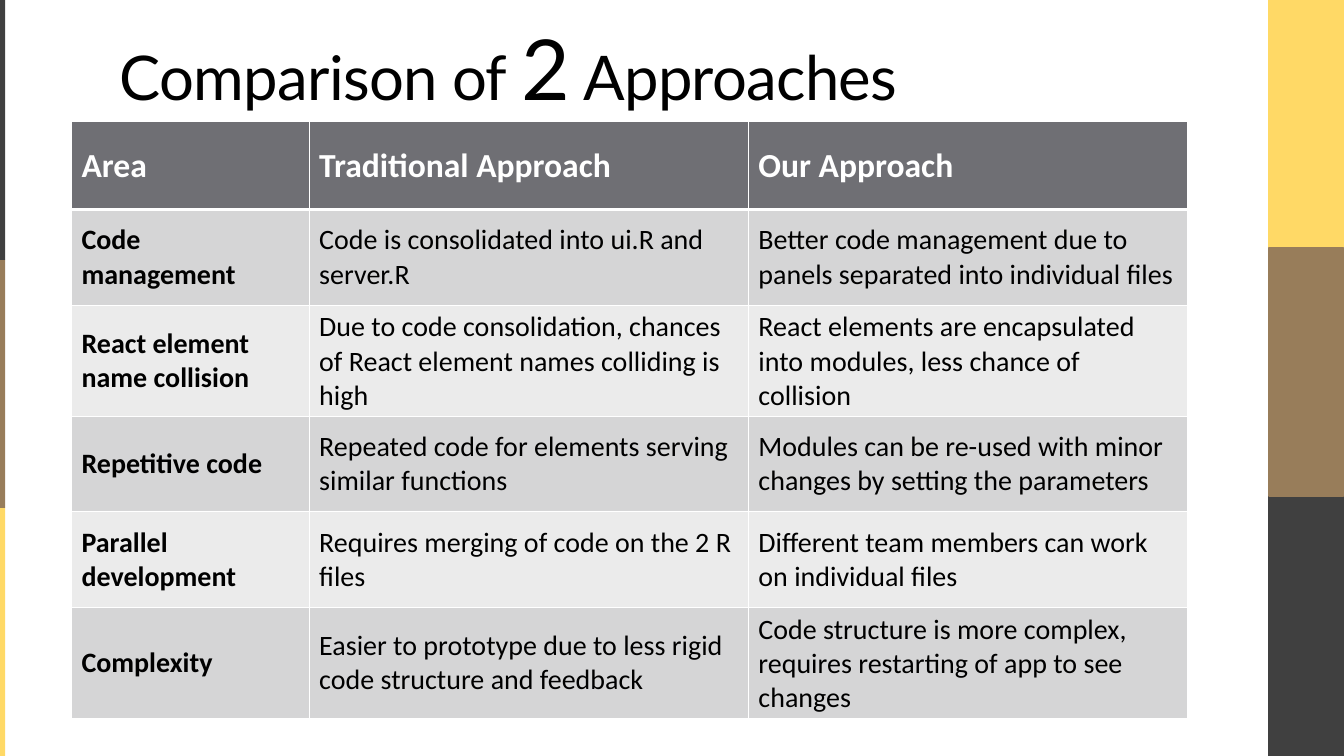
from lxml import etree
from pptx import Presentation
from pptx.dml.color import RGBColor
from pptx.enum import shapes, text
from pptx.oxml.ns import qn
from pptx.util import Cm, Pt

COLORS = {
    "dark": "404040", "yellow": "FFD966", "brown": "987D5A",
    "header": "6F6F74", "odd": "D5D5D6", "even": "EBEBEB",
    "white": "FFFFFF", "black": "000000",
}
SLIDE_W, SLIDE_H = 33.87, 19.05
COL_WIDTHS = [5.99, 11.07, 11.07]
HEADER_H, ROW_H = 2.21, 2.41
ROWS = [
    ("Area", "Traditional Approach", "Our Approach"),
    ("Code management",
     "Code is consolidated into ui.R and server.R",
     "Better code management due to panels separated into individual files"),
    ("React element name collision",
     "Due to code consolidation, chances of React element names colliding is high",
     "React elements are encapsulated into modules, less chance of collision"),
    ("Repetitive code",
     "Repeated code for elements serving similar functions",
     "Modules can be re-used with minor changes by setting the parameters"),
    ("Parallel development",
     "Requires merging of code on the 2 R files",
     "Different team members can work on individual files"),
    ("Complexity",
     "Easier to prototype due to less rigid code structure and feedback",
     "Code structure is more complex, requires restarting of app to see changes"),
]


def rgb(name):
    return RGBColor.from_string(COLORS[name])


def add_run(p, content, size=20, font="Calibri", color="black", bold=False, spacing=None):
    r = p.add_run()
    r.text = content
    r.font.size = Pt(size)
    r.font.name = font
    r.font.bold = bold
    r.font.color.rgb = rgb(color)
    if spacing is not None:
        r._r.get_or_add_rPr().set("spc", str(round(spacing * 100)))


def add_band(slide, left, top, width, height, color, outlined=False):
    sp = slide.shapes.add_shape(shapes.MSO_SHAPE.RECTANGLE,
                                Cm(left), Cm(top), Cm(width), Cm(height))
    sp.shadow.inherit = False
    sp.fill.solid()
    sp.fill.fore_color.rgb = rgb(color)
    if outlined:
        sp.line.color.rgb = rgb(color)
        sp.line.width = Pt(1.1)
    else:
        sp.line.fill.background()


def add_side_bands(slide):
    third = 6.25
    add_band(slide, 31.98, 0, 1.88, SLIDE_H, "dark", outlined=True)
    for i, color in enumerate(("yellow", "brown")):
        add_band(slide, 31.98, i * third, 1.88, third, color, outlined=True)
    first = SLIDE_H - 2 * third
    add_band(slide, 0, first + third, 0.13, third, "yellow")
    add_band(slide, 0, first, 0.13, third, "brown")
    add_band(slide, 0, 0, 0.13, first, "dark")


def add_title(slide):
    sp = slide.shapes.add_textbox(Cm(2.77), Cm(0.56), Cm(25.65), Cm(2.51))
    tf = sp.text_frame
    tf.word_wrap = True
    tf.vertical_anchor = text.MSO_ANCHOR.BOTTOM
    p = tf.paragraphs[0]
    p.line_spacing = 0.8
    for content, size in (("Comparison of ", 44), ("2", 60), (" Approaches", 44)):
        add_run(p, content, size=size, font="Lato", spacing=-0.5)


def set_borders(cell, top=1, bottom=1):
    tc_pr = cell._tc.get_or_add_tcPr()
    for side, width in (("L", 1), ("R", 1), ("T", top), ("B", bottom)):
        ln = etree.SubElement(tc_pr, qn(f"a:ln{side}"), w=str(Pt(width)))
        fill = etree.SubElement(ln, qn("a:solidFill"))
        etree.SubElement(fill, qn("a:srgbClr"), val=COLORS["white"])


def fill_cell(cell, content, fill, **fmt):
    cell.fill.solid()
    cell.fill.fore_color.rgb = rgb(fill)
    cell.vertical_anchor = text.MSO_ANCHOR.MIDDLE
    add_run(cell.text_frame.paragraphs[0], content, **fmt)


def add_comparison_table(slide):
    height = HEADER_H + ROW_H * (len(ROWS) - 1)
    table = slide.shapes.add_table(len(ROWS), len(COL_WIDTHS), Cm(1.8), Cm(3.07),
                                   Cm(sum(COL_WIDTHS)), Cm(height)).table
    for column, width in zip(table.columns, COL_WIDTHS):
        column.width = Cm(width)
    for i, row in enumerate(ROWS):
        table.rows[i].height = Cm(ROW_H if i else HEADER_H)
        for j, content in enumerate(row):
            cell = table.cell(i, j)
            set_borders(cell, top=3 if i == 1 else 1, bottom=1 if i else 3)
            if i == 0:
                fill_cell(cell, content, "header", size=24, color="white", bold=True)
            else:
                fill_cell(cell, content, "odd" if i % 2 else "even", bold=j == 0)


def main():
    prs = Presentation()
    prs.slide_width, prs.slide_height = Cm(SLIDE_W), Cm(SLIDE_H)
    slide = prs.slides.add_slide(prs.slide_layouts[6])
    add_side_bands(slide)
    add_title(slide)
    add_comparison_table(slide)
    prs.save("out.pptx")


if __name__ == "__main__":
    main()
